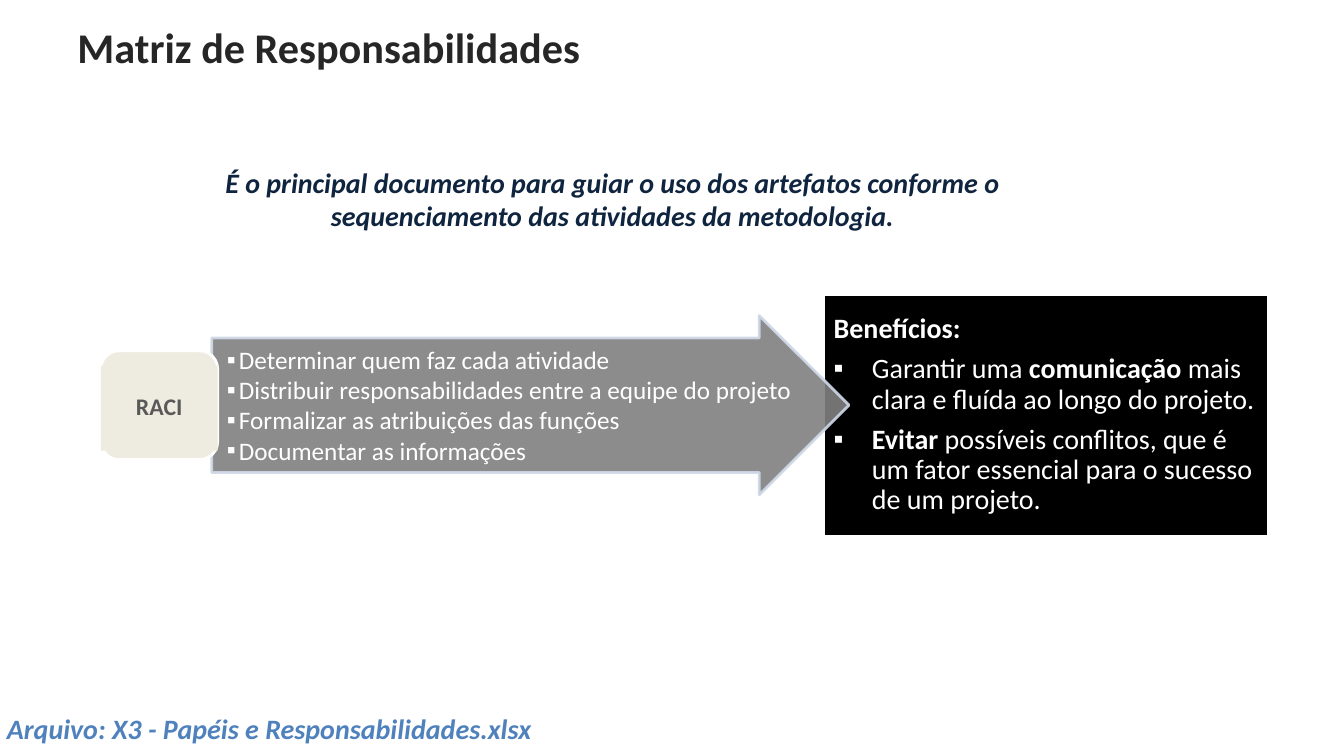
from lxml import etree
from pptx import Presentation
from pptx.dml.color import RGBColor
from pptx.enum.shapes import MSO_SHAPE
from pptx.enum.text import MSO_ANCHOR, PP_ALIGN
from pptx.oxml.ns import qn
from pptx.util import Inches, Pt

RECTANGLE = MSO_SHAPE.RECTANGLE
ROUNDED = MSO_SHAPE.ROUNDED_RECTANGLE
ARROW = MSO_SHAPE.RIGHT_ARROW
TOP, MIDDLE = MSO_ANCHOR.TOP, MSO_ANCHOR.MIDDLE
LEFT, CENTER = PP_ALIGN.LEFT, PP_ALIGN.CENTER


def color(value):
    return RGBColor.from_string(value)


class SlideBuilder:
    """Draws styled shapes and text on the current slide."""

    font = "Calibri"
    white = "FFFFFF"
    cream = "EEECE1"

    def __init__(self, slide):
        self.slide = slide

    def shape(self, kind, box, fill, line=None, opacity=None):
        shape = self.slide.shapes.add_shape(kind, *map(Inches, box))
        shape.shadow.inherit = False
        shape.fill.solid()
        shape.fill.fore_color.rgb = color(fill)
        if line:
            shape.line.color.rgb = color(line)
            shape.line.width = Pt(2)
        else:
            shape.line.fill.background()
        if opacity:
            for element in shape._element.spPr.iter(qn("a:srgbClr")):
                etree.SubElement(element, qn("a:alpha"), val=str(opacity * 1000))
        return shape

    def textbox(self, box, anchor=TOP, inset=None):
        textbox = self.slide.shapes.add_textbox(*map(Inches, box))
        frame = textbox.text_frame
        self.prepare(frame, anchor)
        if inset is not None:
            frame.margin_left = frame.margin_right = Inches(inset)
            frame.margin_top = frame.margin_bottom = Inches(inset)
        return textbox

    def prepare(self, frame, anchor):
        frame.word_wrap = True
        frame.vertical_anchor = anchor

    def add_text(self, shape, paragraphs, size, text_color, align=LEFT,
                 italic=False, spacing=None, after=0, indent=0):
        frame = shape.text_frame
        for index, (bulleted, runs) in enumerate(paragraphs):
            paragraph = frame.add_paragraph() if index else frame.paragraphs[0]
            paragraph.alignment = align
            paragraph.space_after = Pt(after)
            if spacing:
                paragraph.line_spacing = spacing
            if bulleted:
                self.bullet(paragraph, indent)
            for text, bold in runs:
                run = paragraph.add_run()
                run.text = text
                run.font.name = self.font
                run.font.size = Pt(size)
                run.font.bold = bold
                run.font.italic = italic
                run.font.color.rgb = color(text_color)

    def bullet(self, paragraph, indent):
        properties = paragraph._p.get_or_add_pPr()
        properties.set("marL", str(Inches(indent)))
        properties.set("indent", str(-Inches(indent)))
        etree.SubElement(properties, qn("a:buFont"), typeface="Arial")
        etree.SubElement(properties, qn("a:buChar"), char="▪")

    def line_of_text(self, box, text, size, text_color, anchor=TOP,
                     align=LEFT, italic=False):
        textbox = self.textbox(box, anchor)
        self.add_text(textbox, [(False, [(text, True)])], size, text_color,
                      align, italic)

    def benefits(self, box, paragraphs):
        panel = self.shape(RECTANGLE, box, "000000", self.white)
        self.prepare(panel.text_frame, MIDDLE)
        self.add_text(panel, paragraphs, 20, self.white, spacing=0.9, after=7,
                      indent=0.38)

    def purpose_arrow(self, box, text_box, purposes):
        arrow = self.shape(ARROW, box, "808080", "D0D8E8", opacity=90)
        arrow.adjustments[0] = 0.75
        arrow.adjustments[1] = 0.5
        textbox = self.textbox(text_box, MIDDLE, inset=0.02)
        paragraphs = [(True, [(purpose, False)]) for purpose in purposes]
        self.add_text(textbox, paragraphs, 18, self.white, indent=0.12)

    def label(self, box, text_box, text):
        self.shape(ROUNDED, box, self.cream, self.white)
        plate = self.shape(RECTANGLE, text_box, self.cream)
        self.prepare(plate.text_frame, MIDDLE)
        self.add_text(plate, [(False, [(text, True)])], 17, "595959", CENTER,
                      spacing=0.9)


def main():
    presentation = Presentation()
    presentation.slide_width = Inches(13.33)
    presentation.slide_height = Inches(7.5)
    builder = SlideBuilder(
        presentation.slides.add_slide(presentation.slide_layouts[6]))

    builder.benefits((8.17, 2.92, 4.41, 2.4), [
        (False, [("Benefícios:", True)]),
        (True, [("Garantir uma ", False), ("comunicação", True),
                (" mais clara e fluída ao longo do projeto.", False)]),
        (True, [("Evitar", True),
                (" possíveis conflitos, que é um fator essencial para o "
                 "sucesso de um projeto.", False)]),
    ])
    builder.line_of_text((0.67, 0.27, 12, 0.39), "Matriz de Responsabilidades",
                         30.2, "262626", MIDDLE)
    builder.purpose_arrow((2.1, 3.13, 6.32, 1.78), (2.23, 3.35, 6.32, 1.33), [
        "Determinar quem faz cada atividade",
        "Distribuir responsabilidades entre a equipe do projeto",
        "Formalizar as atribuições das funções",
        "Documentar as informações",
    ])
    builder.label((1, 3.48, 1.16, 1.08), (1, 3.63, 1.16, 0.84), "RACI")
    builder.line_of_text(
        (1.86, 1.59, 8.43, 0.77),
        "É o principal documento para guiar o uso dos artefatos conforme o "
        "sequenciamento das atividades da metodologia.",
        20, "0F243E", align=CENTER, italic=True)
    builder.line_of_text((-0.03, 7.01, 5.54, 0.44),
                         "Arquivo: X3 - Papéis e Responsabilidades.xlsx",
                         20, "4F81BD", italic=True)
    presentation.save("out.pptx")


if __name__ == "__main__":
    main()
